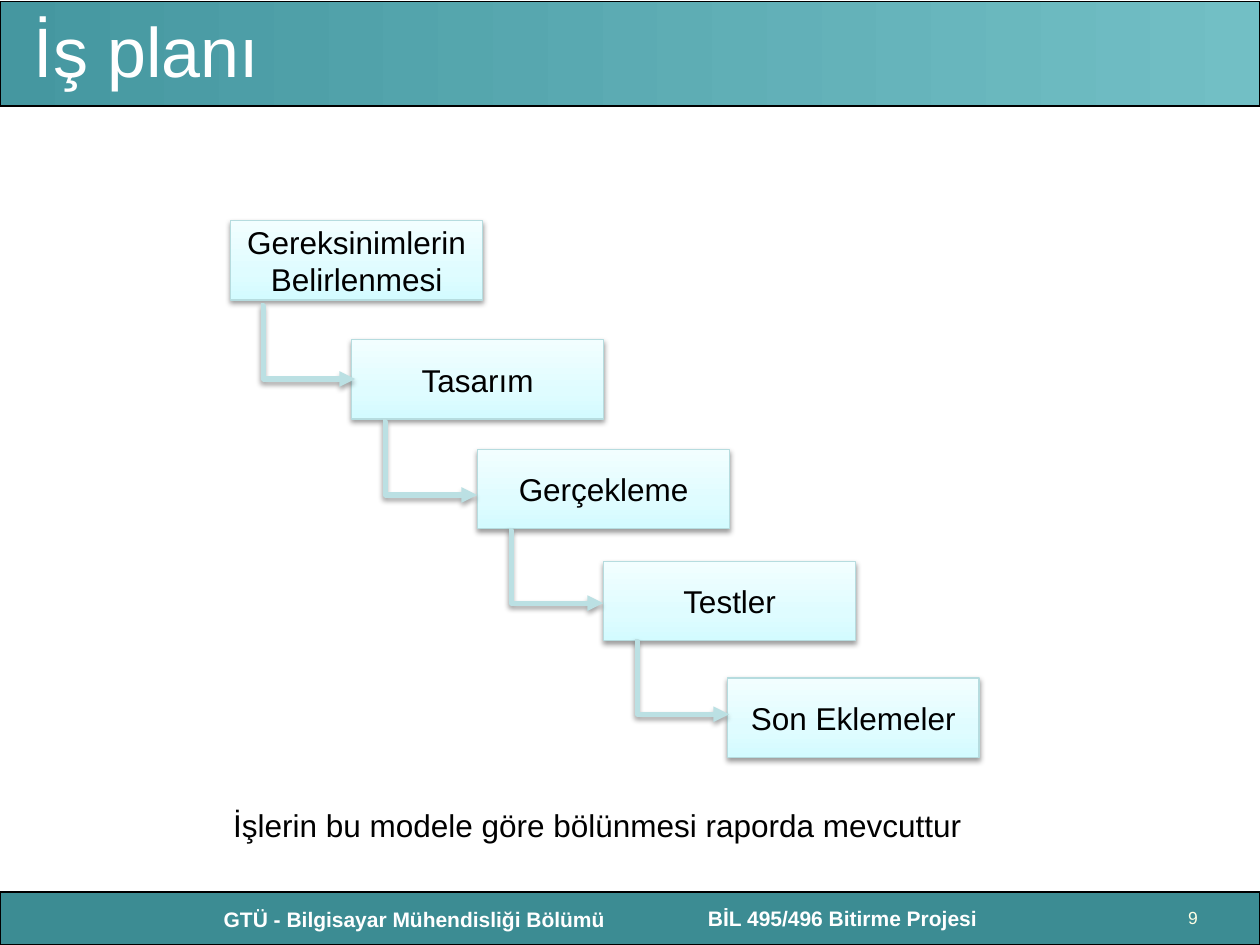
"""Builds the work plan slide: a five-step waterfall between a title bar and a footer."""
from copy import deepcopy
from typing import NamedTuple

from lxml.etree import SubElement
from pptx import Presentation
from pptx.dml.color import RGBColor
from pptx.enum.shapes import MSO_CONNECTOR, MSO_SHAPE
from pptx.enum.text import MSO_ANCHOR, PP_ALIGN
from pptx.oxml.ns import qn
from pptx.util import Cm, Pt

BLACK = RGBColor(0x00, 0x00, 0x00)
WHITE = RGBColor(0xFF, 0xFF, 0xFF)
IVORY = RGBColor(0xFF, 0xFF, 0xE5)
FOOTER_TEAL = RGBColor(0x3C, 0x8C, 0x93)
STEP_BORDER = RGBColor(0xB6, 0xDC, 0xDF)
ARROW_TEAL = RGBColor(0xBB, 0xE0, 0xE3)
TITLE_STOPS = [(0, RGBColor(0x45, 0x97, 0xA0)), (1, RGBColor(0x72, 0xBF, 0xC5))]
STEP_STOPS = [(0, RGBColor(0xD3, 0xFB, 0xFF)), (0.35, RGBColor(0xDF, 0xFC, 0xFF)),
              (1, RGBColor(0xF2, 0xFE, 0xFF))]

FONT = "Arial"
SLIDE_W, SLIDE_H = 25.4, 19.05
STEP_W, STEP_H = 5.08, 1.6
ARROW_W, ARROW_H = 1.9, 1.47


class Step(NamedTuple):
    """A stage of the plan, placed in centimetres."""
    text: str
    left: float
    top: float


class Arrow(NamedTuple):
    """Start of an elbow arrow, in centimetres."""
    left: float
    top: float


class Label(NamedTuple):
    """A text box in centimetres with its formatting."""
    text: str
    left: float
    top: float
    width: float
    height: float
    size: float
    color: RGBColor
    bold: bool = False
    align: PP_ALIGN = PP_ALIGN.LEFT
    anchor: MSO_ANCHOR = MSO_ANCHOR.TOP
    spacing: float = 1.0


STEPS = [
    Step("Gereksinimlerin Belirlenmesi", 4.65, 4.45),
    Step("Tasarım", 7.09, 6.85),
    Step("Gerçekleme", 9.63, 9.06),
    Step("Testler", 12.17, 11.32),
    Step("Son Eklemeler", 14.66, 13.67),
]
ARROWS = [Arrow(5.26, 6.17), Arrow(7.72, 8.51), Arrow(10.26, 10.69), Arrow(12.8, 12.93)]
LABELS = [
    Label("GTÜ - Bilgisayar Mühendisliği Bölümü", 4.01, 18.16, 8.69, 0.76, 12, WHITE,
          bold=True, align=PP_ALIGN.CENTER),
    Label("BİL 495/496 Bitirme Projesi ", 12.7, 18.13, 8.69, 0.76, 12, WHITE,
          bold=True, align=PP_ALIGN.CENTER),
    Label("9", 23.7, 18.21, 1.27, 0.2, 10, IVORY),
    Label("İş planı", 0.43, 0.3, 21.8, 1.6, 40, WHITE,
          anchor=MSO_ANCHOR.MIDDLE, spacing=0.9),
    Label("İşlerin bu modele göre bölünmesi raporda mevcuttur", 4.45, 16.13, 16.71, 1.02,
          18, BLACK),
]


def write(tf, text: str, size: float, color: RGBColor, bold: bool = False):
    """Put one formatted paragraph in a text frame and return it."""
    tf.word_wrap = True
    tf.text = text
    p = tf.paragraphs[0]
    font = p.runs[0].font
    font.name, font.size, font.bold = FONT, Pt(size), bold
    font.color.rgb = color
    return p


def set_gradient(fill, stops: list, angle: float) -> None:
    """Fill with a linear gradient through any number of stops."""
    fill.gradient()
    fill.gradient_angle = angle
    gs_list = fill.gradient_stops[0]._gs.getparent()
    while len(gs_list) < len(stops):
        gs_list.append(deepcopy(gs_list[0]))
    for stop, (position, color) in zip(fill.gradient_stops, stops):
        stop.position = position
        stop.color.rgb = color


def add_shadow(sp_pr, blur: float, distance: float, opacity: int) -> None:
    """Cast a black shadow straight down."""
    effects = sp_pr.find(qn("a:effectLst"))
    if effects is None:
        effects = SubElement(sp_pr, qn("a:effectLst"))
    shadow = SubElement(effects, qn("a:outerShdw"), blurRad=str(Pt(blur)),
                        dist=str(Pt(distance)), dir="5400000", rotWithShape="0")
    color = SubElement(shadow, qn("a:srgbClr"), val=str(BLACK))
    SubElement(color, qn("a:alpha"), val=str(opacity * 1000))


def add_rect(s, left: float, top: float, width: float, height: float, border: RGBColor):
    """Add a thinly outlined rectangle without a theme shadow."""
    sp = s.shapes.add_shape(MSO_SHAPE.RECTANGLE, Cm(left), Cm(top), Cm(width), Cm(height))
    sp.line.color.rgb = border
    sp.line.width = Pt(0.75)
    sp.shadow.inherit = False
    return sp


def add_step(s, step: Step) -> None:
    """Draw one stage box."""
    sp = add_rect(s, step.left, step.top, STEP_W, STEP_H, STEP_BORDER)
    set_gradient(sp.fill, STEP_STOPS, 90)
    add_shadow(sp.element.spPr, 3.1, 1.6, 38)
    sp.text_frame.vertical_anchor = MSO_ANCHOR.MIDDLE
    write(sp.text_frame, step.text, 18, BLACK).alignment = PP_ALIGN.CENTER


def add_arrow(s, arrow: Arrow) -> None:
    """Draw an elbow arrow that goes down and then right."""
    c = s.shapes.add_connector(MSO_CONNECTOR.ELBOW, Cm(arrow.left), Cm(arrow.top),
                               Cm(arrow.left + ARROW_W), Cm(arrow.top + ARROW_H))
    c.line.color.rgb = ARROW_TEAL
    c.line.width = Pt(3)
    sp_pr = c.element.spPr
    SubElement(sp_pr.find(qn("a:ln")), qn("a:tailEnd"), type="triangle")
    guides = sp_pr.find(qn("a:prstGeom")).find(qn("a:avLst"))
    SubElement(guides, qn("a:gd"), name="adj1", fmla="val 2600")
    add_shadow(sp_pr, 3.1, 1.8, 35)


def add_label(s, label: Label) -> None:
    """Draw one text box."""
    box = s.shapes.add_textbox(Cm(label.left), Cm(label.top), Cm(label.width), Cm(label.height))
    tf = box.text_frame
    tf.vertical_anchor = label.anchor
    p = write(tf, label.text, label.size, label.color, label.bold)
    p.alignment = label.align
    p.line_spacing = label.spacing


def main() -> None:
    """Build and save the slide."""
    prs = Presentation()
    prs.slide_width, prs.slide_height = Cm(SLIDE_W), Cm(SLIDE_H)
    s = prs.slides.add_slide(prs.slide_layouts[6])

    footer = add_rect(s, 0, 17.98, SLIDE_W, 1.07, BLACK)
    footer.fill.solid()
    footer.fill.fore_color.rgb = FOOTER_TEAL
    title_bar = add_rect(s, 0, 0.03, SLIDE_W, 2.11, BLACK)
    set_gradient(title_bar.fill, TITLE_STOPS, 0)

    for step in STEPS:
        add_step(s, step)
    for arrow in ARROWS:
        add_arrow(s, arrow)
    for label in LABELS:
        add_label(s, label)

    prs.save("out.pptx")


if __name__ == "__main__":
    main()
